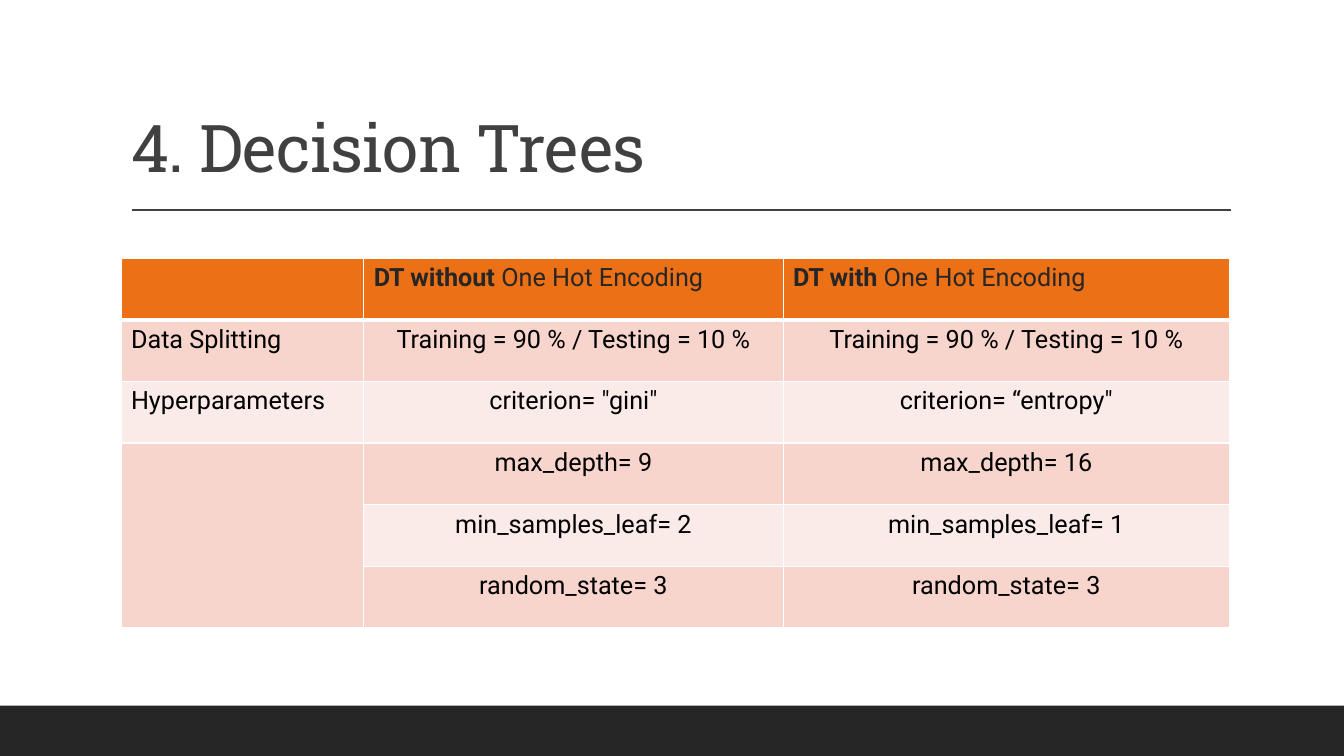
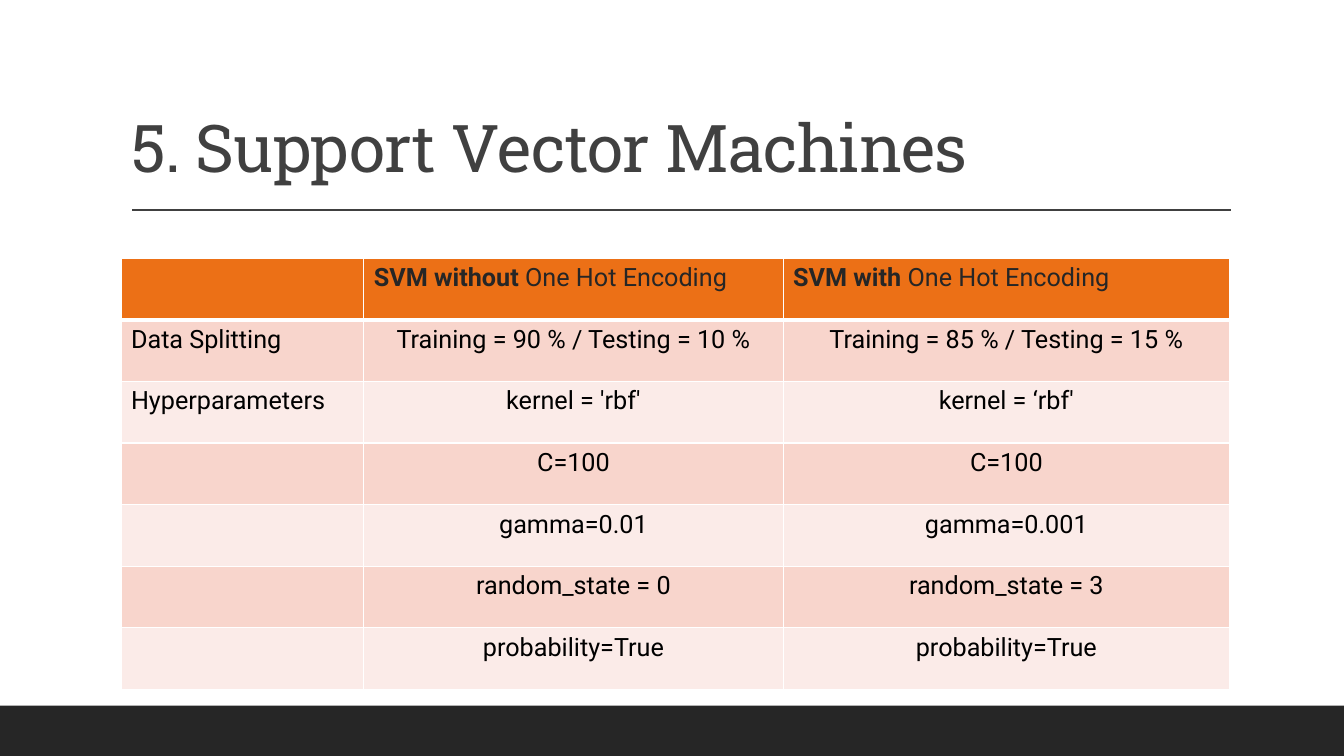
from lxml import etree
from pptx import Presentation
from pptx.dml.color import RGBColor
from pptx.enum.shapes import MSO_CONNECTOR, MSO_SHAPE
from pptx.enum.text import MSO_ANCHOR, MSO_AUTO_SIZE, PP_ALIGN
from pptx.oxml.ns import qn
from pptx.util import Pt

RECT, LINE = MSO_SHAPE.RECTANGLE, MSO_CONNECTOR.STRAIGHT
LEFT, MID = PP_ALIGN.LEFT, PP_ALIGN.CENTER
BOTTOM, FIXED = MSO_ANCHOR.BOTTOM, MSO_AUTO_SIZE.NONE

WIDE, HIGH = 960, 540
EDGE, SPAN = 86.4, 792  # left edge and width of title and table
COLS = (173.5, 299.5, 319)
ROW = 44


def color(text):
    return RGBColor.from_string(text)


class Deck:
    head, body = "Roboto Slab", "Roboto"
    dark, gray, black, white = "262626", "404040", "000000", "FFFFFF"
    orange, bands = "EC7016", ("FBEBE8", "F8D5CC")

    def __init__(self):
        self.prs = Presentation()
        self.prs.slide_width, self.prs.slide_height = Pt(WIDE), Pt(HIGH)
        self.slide = None

    def add(self, title):
        """Start a slide with the shared band, rule and title."""
        self.slide = self.prs.slides.add_slide(self.prs.slide_layouts[5])
        self.band(504, 36)
        self.rule(94.5, 879, 150)
        self.title(title)

    def band(self, top, high):
        bar = self.slide.shapes.add_shape(RECT, 0, Pt(top), Pt(WIDE), Pt(high))
        bar.shadow.inherit = False
        bar.fill.solid()
        bar.fill.fore_color.rgb = color(self.dark)
        bar.line.fill.background()

    def rule(self, start, end, top):
        line = self.slide.shapes.add_connector(
            LINE, Pt(start), Pt(top), Pt(end), Pt(top))
        line.line.color.rgb = color(self.gray)
        line.line.width = Pt(1)
        etree.SubElement(line._element.spPr, qn("a:effectLst"))

    def title(self, text):
        box = self.slide.shapes.title
        box.left, box.top = Pt(EDGE), Pt(22.5)
        box.width, box.height = Pt(SPAN), Pt(114.5)
        frame = box.text_frame
        frame.text = text
        frame.word_wrap, frame.auto_size = True, FIXED
        frame.vertical_anchor = BOTTOM
        para = frame.paragraphs[0]
        para.alignment, para.line_spacing = LEFT, 0.9
        run = para.runs[0]
        self.font(run, self.head, 47, self.gray)
        run._r.get_or_add_rPr().set("spc", "-50")

    def font(self, run, name, size, ink, bold=False):
        font = run.font
        font.name, font.size, font.bold = name, Pt(size), bold
        font.color.rgb = color(ink)

    def border(self, cell, top, bottom):
        """Draw white cell borders; the widths are in points."""
        props = cell._tc.get_or_add_tcPr()
        sides = (("L", 1), ("R", 1), ("T", top), ("B", bottom))
        for spot, (side, width) in enumerate(sides):
            line = etree.Element(qn("a:ln" + side), w=str(Pt(width)))
            fill = etree.SubElement(line, qn("a:solidFill"))
            etree.SubElement(fill, qn("a:srgbClr"), val=self.white)
            props.insert(spot, line)

    def cell(self, cell, text, row, col):
        cell.fill.solid()
        cell.fill.fore_color.rgb = color(
            self.bands[row % 2] if row else self.orange)
        self.border(cell, 3 if row == 1 else 1, 1 if row else 3)
        if not text:
            return
        para = cell.text_frame.paragraphs[0]
        para.text = text
        para.alignment = MID if row and col else LEFT
        ink = self.black if row else self.dark
        self.font(para.runs[0], self.body, 18, ink, bold=not row)
        if not row:
            tail = para.add_run()
            tail.text = "One Hot Encoding"
            self.font(tail, self.body, 18, ink)

    def table(self, rows, merge=None):
        """Fill a table; merge gives the first and last row to join in column 0."""
        grid = self.slide.shapes.add_table(
            len(rows), len(COLS), Pt(EDGE), Pt(184.5),
            Pt(SPAN), Pt(ROW * len(rows))).table
        grid.first_row = grid.horz_banding = False
        for col, width in zip(grid.columns, COLS):
            col.width = Pt(width)
        for r, texts in enumerate(rows):
            grid.rows[r].height = Pt(ROW)
            for c, text in enumerate(texts):
                self.cell(grid.cell(r, c), text, r, c)
        if merge:
            first, last = merge
            grid.cell(first, 0).merge(grid.cell(last, 0))


def main():
    deck = Deck()

    # Decision trees
    deck.add("4. Decision Trees")
    deck.table([
        ("", "DT without ", "DT with "),
        ("Data Splitting", "Training = 90 % / Testing = 10 %",
         "Training = 90 % / Testing = 10 %"),
        ("Hyperparameters", 'criterion= "gini"', 'criterion= “entropy"'),
        ("", "max_depth= 9", "max_depth= 16"),
        ("", "min_samples_leaf= 2", "min_samples_leaf= 1"),
        ("", "random_state= 3", "random_state= 3"),
    ], merge=(3, 5))

    # Support vector machines
    deck.add("5. Support Vector Machines")
    deck.table([
        ("", "SVM without ", "SVM with "),
        ("Data Splitting", "Training = 90 % / Testing = 10 %",
         "Training = 85 % / Testing = 15 %"),
        ("Hyperparameters", "kernel = 'rbf'", "kernel = ‘rbf'"),
        ("", "C=100", "C=100"),
        ("", "gamma=0.01", "gamma=0.001"),
        ("", "random_state = 0", "random_state = 3"),
        ("", "probability=True", "probability=True"),
    ])

    deck.prs.save("out.pptx")


if __name__ == "__main__":
    main()
